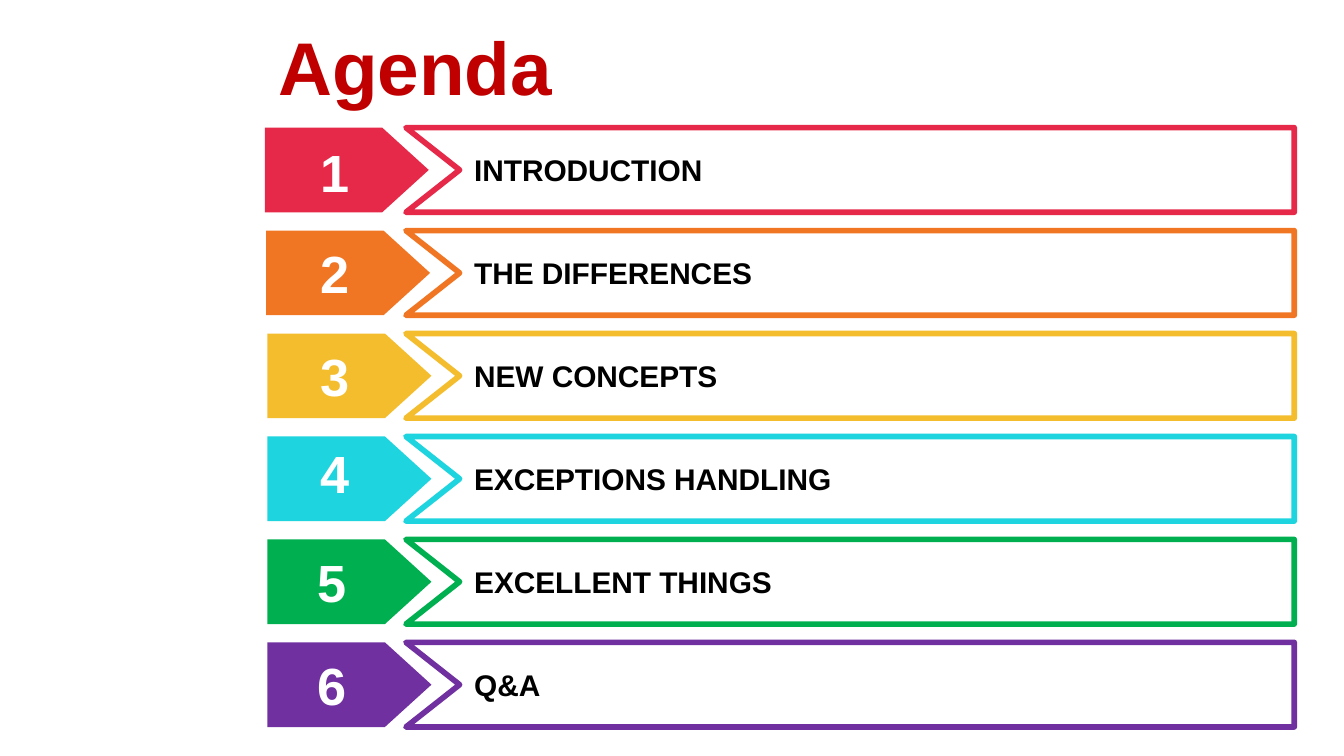
from dataclasses import dataclass

from pptx import Presentation
from pptx.dml.color import RGBColor
from pptx.enum.shapes import MSO_SHAPE
from pptx.enum.text import MSO_ANCHOR, MSO_AUTO_SIZE, PP_ALIGN
from pptx.util import Inches, Pt


@dataclass(frozen=True)
class Theme:
    font: str = "Arial"
    title: str = "C00000"
    white: str = "FFFFFF"
    black: str = "000000"
    title_size: int = 40
    number_size: int = 28
    topic_size: int = 16
    outline: int = 3


THEME = Theme()
SLIDE_WIDTH = 10
SLIDE_HEIGHT = SLIDE_WIDTH * 9 / 16
TOPICS = [
    ("INTRODUCTION", "E62949", 1.04, 5.37),
    ("THE DIFFERENCES", "F07624", 1.79, 5.45),
    ("NEW CONCEPTS", "F4BD2D", 2.56, 4.36),
    ("EXCEPTIONS HANDLING", "1ED4DE", 3.28, 4.36),
    ("EXCELLENT THINGS", "00B050", 4.09, 3.91),
    ("Q&A", "7030A0", 4.86, 3.91),
]
FIRST_TOP, LAST_TOP = 0.95, 4.78
PITCH = (LAST_TOP - FIRST_TOP) / (len(TOPICS) - 1)
ROW_HEIGHT = 0.63


def write(frame, text, size, color, align, anchor, margin):
    frame.text = text
    frame.word_wrap = True
    frame.vertical_anchor = anchor
    frame.margin_left = frame.margin_right = Inches(0.1)
    frame.margin_top = frame.margin_bottom = Inches(margin)
    paragraph = frame.paragraphs[0]
    paragraph.alignment = align
    font = paragraph.runs[0].font
    font.name, font.size, font.bold = THEME.font, Pt(size), True
    font.color.rgb = RGBColor.from_string(color)


def paint(shape, color):
    shape.shadow.inherit = False
    shape.fill.solid()
    shape.fill.fore_color.rgb = RGBColor.from_string(color)


def add_title(slide, text):
    title = slide.shapes.title
    title.left, title.top = Inches(1.97), Inches(0)
    title.width, title.height = Inches(8.23), Inches(0.97)
    write(title.text_frame, text, THEME.title_size, THEME.title,
          PP_ALIGN.LEFT, MSO_ANCHOR.MIDDLE, 0.05)


def add_arrow(slide, left, top, color):
    arrow = slide.shapes.add_shape(
        MSO_SHAPE.PENTAGON, Inches(left), Inches(top), Inches(1.22), Inches(ROW_HEIGHT))
    arrow.adjustments[0] = 0.55
    paint(arrow, color)
    arrow.line.fill.background()


def add_notched_bar(slide, top, color):
    left, right, notch = 3.02, 9.63, 3.42
    bottom = top + ROW_HEIGHT
    corners = [(right, top), (right, bottom), (left, bottom),
               (notch, top + ROW_HEIGHT / 2)]
    outline = slide.shapes.build_freeform(Inches(left), Inches(top))
    outline.add_line_segments([(Inches(x), Inches(y)) for x, y in corners])
    bar = outline.convert_to_shape()
    paint(bar, THEME.white)
    bar.line.color.rgb = RGBColor.from_string(color)
    bar.line.width = Pt(THEME.outline)


def add_label(slide, left, top, width, height, *style):
    label = slide.shapes.add_textbox(
        Inches(left), Inches(top), Inches(width), Inches(height))
    write(label.text_frame, *style)
    label.text_frame.auto_size = MSO_AUTO_SIZE.SHAPE_TO_FIT_TEXT


def add_topic(slide, index, topic, color, number_top, topic_width):
    top = FIRST_TOP + index * PITCH
    add_arrow(slide, 1.97 + 0.01 * min(index, 2), top, color)
    add_notched_bar(slide, top, color)
    add_label(slide, 2.16 if index < 4 else 2.14, number_top, 0.66, 0.47,
              str(index + 1), THEME.number_size, THEME.white,
              PP_ALIGN.CENTER, MSO_ANCHOR.MIDDLE, 0)
    add_label(slide, 3.43, top + 0.13, topic_width, 0.37,
              topic, THEME.topic_size, THEME.black,
              PP_ALIGN.LEFT, MSO_ANCHOR.TOP, 0.05)


def main():
    deck = Presentation()
    deck.slide_width, deck.slide_height = Inches(SLIDE_WIDTH), Inches(SLIDE_HEIGHT)
    slide = deck.slides.add_slide(deck.slide_layouts[5])
    add_title(slide, "Agenda")
    for index, row in enumerate(TOPICS):
        add_topic(slide, index, *row)
    deck.save("out.pptx")


if __name__ == "__main__":
    main()
